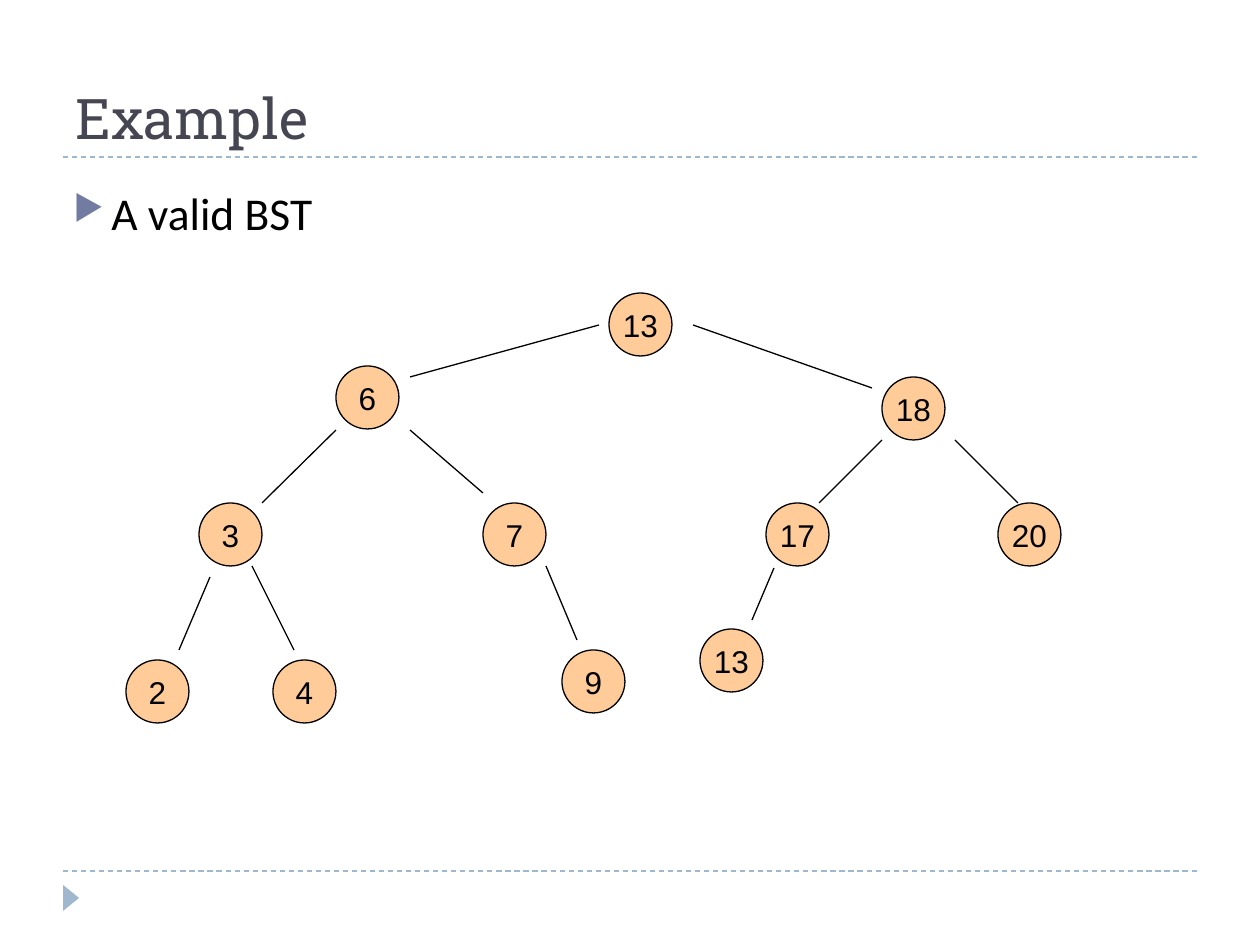
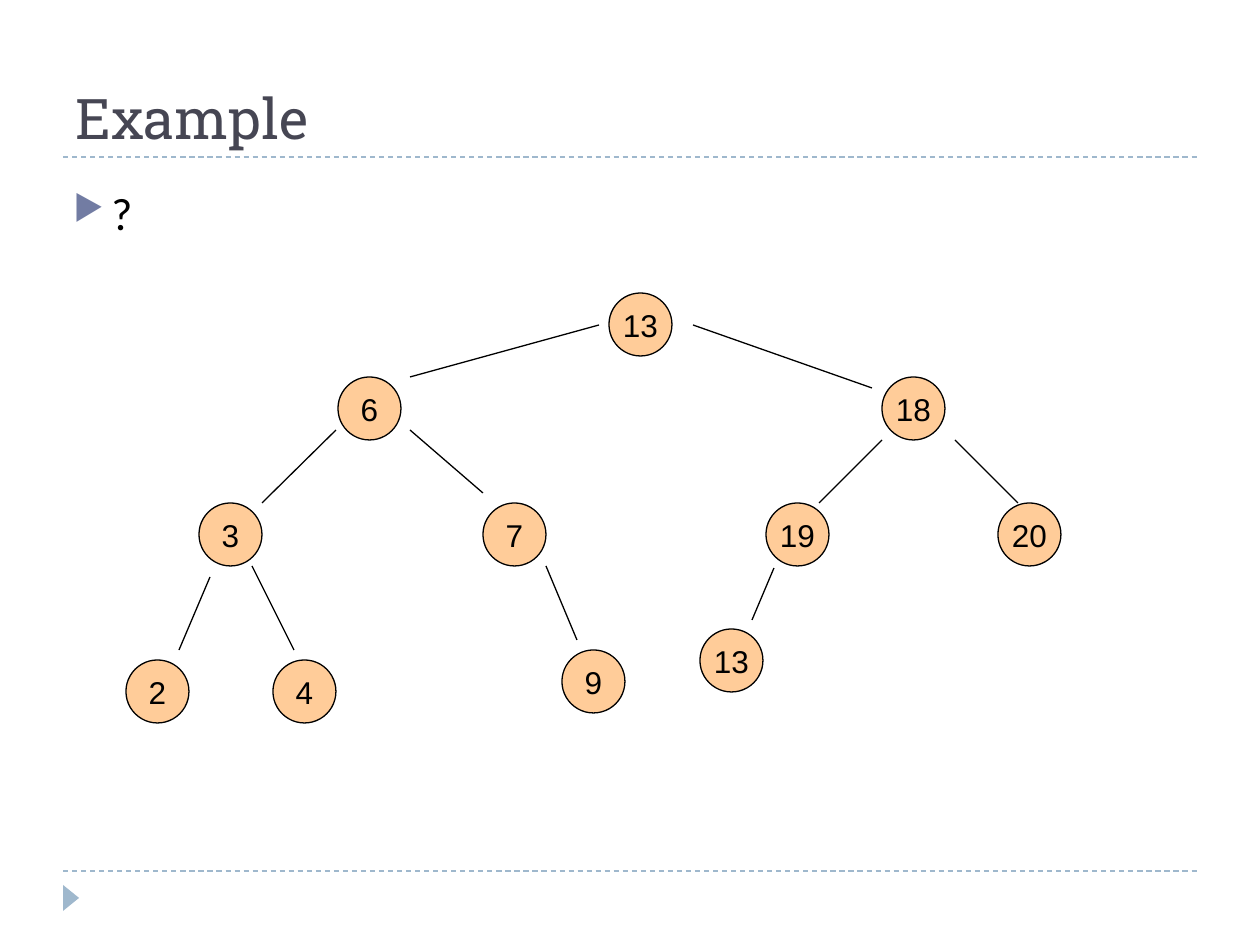
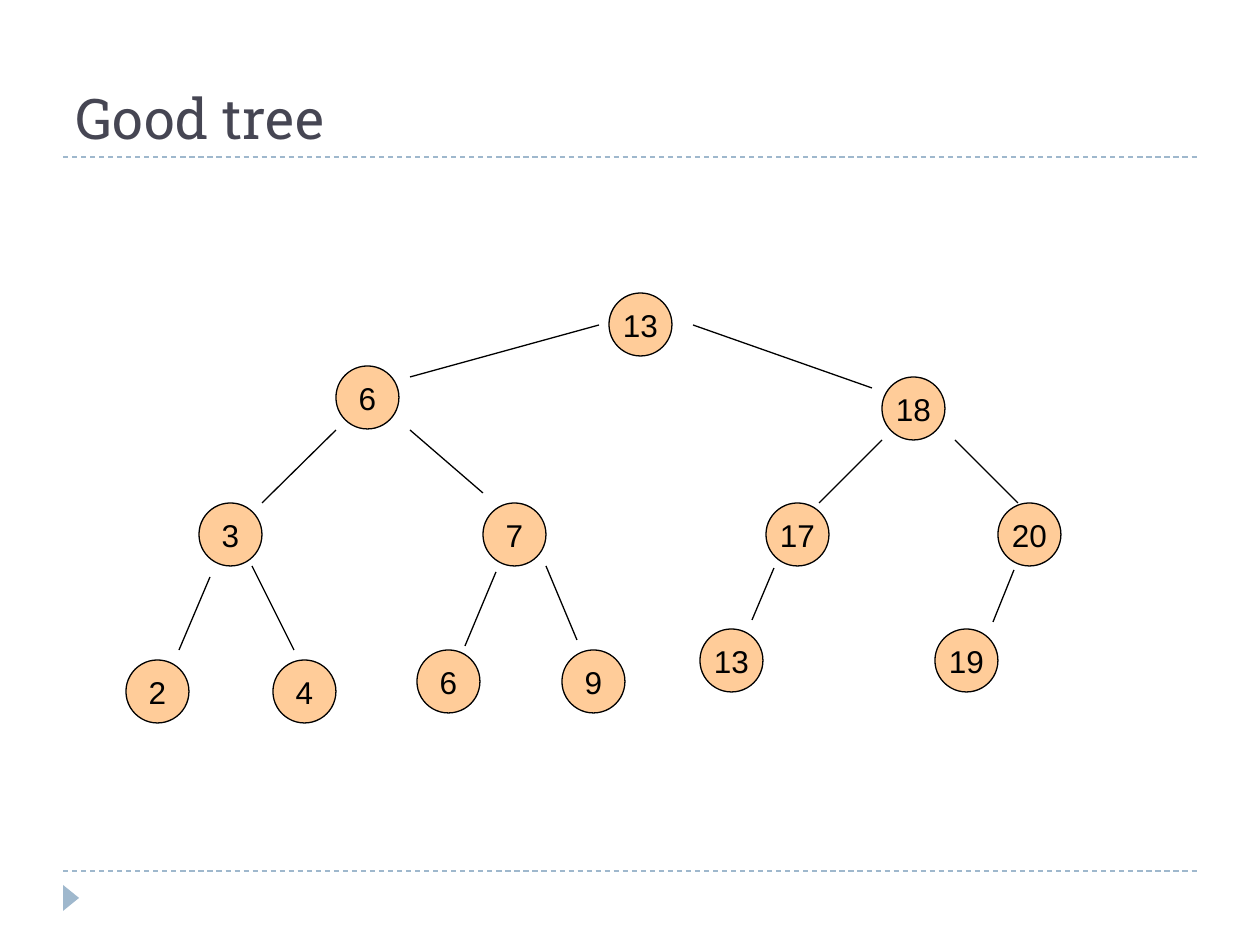
from lxml import etree
from pptx import Presentation
from pptx import util as u
from pptx.dml import color
from pptx.enum import dml, shapes, text
from pptx.oxml import ns

PX = u.Inches(1) / 126
HUE = {"title": "464653", "body": "000000", "rule": "9FB8CD",
       "mark": "727CA3", "node": "FFCC99", "edge": "000000"}
FONT = {
    "title": {"name": "Roboto Slab", "size": u.Pt(32)},
    "body": {"name": "Calibri", "size": u.Pt(26)},
    "node": {"name": "Arial", "size": u.Pt(18)},
}
FRAME = {
    "title": {"word_wrap": True, "vertical_anchor": text.MSO_ANCHOR.BOTTOM},
    "body": {"word_wrap": True, "vertical_anchor": text.MSO_ANCHOR.TOP},
    "node": {"word_wrap": False, "vertical_anchor": text.MSO_ANCHOR.MIDDLE},
}
PARA = {
    "title": {"alignment": text.PP_ALIGN.LEFT},
    "body": {"alignment": text.PP_ALIGN.LEFT, "space_before": u.Pt(6)},
    "node": {"alignment": text.PP_ALIGN.CENTER},
}

SIZE = 63
TREE = (126, 293)
NODES = {
    "root": ("13", 483, 0), "right": ("18", 756, 84), "three": ("3", 73, 210),
    "two": ("2", 0, 367), "left": ("6", 210, 73), "four": ("4", 147, 367),
    "seven": ("7", 357, 210), "low": ("13", 574, 336), "nine": ("9", 436, 357),
    "inner": ("17", 640, 210), "outer": ("20", 872, 210),
}
EDGES = [
    (473, 32, 284, 84), (210, 137, 136, 210), (84, 284, 53, 357),
    (126, 273, 168, 357), (284, 137, 357, 200), (420, 273, 451, 347),
    (648, 275, 626, 327), (567, 32, 746, 95), (756, 147, 693, 210),
    (829, 147, 892, 210),
]
SWAP = {"left": ("6", 212, 84), "inner": ("19", 640, 210)}
MORE = {"six": ("6", 291, 357), "last": ("19", 809, 336)}
LINKS = [(370, 279, 339, 353), (888, 277, 867, 329)]
SLIDES = [
    ("Example", "A valid BST", NODES, EDGES),
    ("Example", "?", NODES | SWAP, EDGES),
    ("Good tree", None, NODES | MORE, EDGES + LINKS),
]


def emu(*vals):
    """Turn px lengths into EMU."""
    return [round(val * PX) for val in vals]


def rgb(key):
    """Look up a colour by its role."""
    return color.RGBColor.from_string(HUE[key])


def apply(item, vals):
    """Set each attribute of a format dict."""
    for name, val in vals.items():
        setattr(item, name, val)


def write(shape, words, style, hue):
    """Fill a shape with one styled paragraph and return it."""
    frame = shape.text_frame
    apply(frame, FRAME[style])
    para = frame.paragraphs[0]
    apply(para, PARA[style])
    run = para.add_run()
    run.text = words
    apply(run.font, FONT[style])
    run.font.color.rgb = rgb(hue)
    return para


def line(slide, ends, hue, dash=None):
    """Draw a thin straight line between two points."""
    link = slide.shapes.add_connector(shapes.MSO_CONNECTOR.STRAIGHT, *emu(*ends))
    apply(link.line, {"width": u.Pt(0.75), "dash_style": dash})
    link.line.color.rgb = rgb(hue)
    etree.SubElement(link._element.spPr, ns.qn("a:effectLst"))


def solid(slide, kind, box, hue):
    """Add a flat filled shape without an outline."""
    shape = slide.shapes.add_shape(kind, *emu(*box))
    shape.shadow.inherit = False
    shape.fill.solid()
    shape.fill.fore_color.rgb = rgb(hue)
    shape.line.fill.background()
    return shape


def base(slide, box):
    """Draw the two dashed rules and the footer marker."""
    left, top, wide, high = box
    for y in (top, top + high):
        line(slide, (left, y, left + wide, y), "rule", dml.MSO_LINE.DASH)
    mark = solid(slide, shapes.MSO_SHAPE.ISOSCELES_TRIANGLE,
                 (left - 5, top + high + 19, 26, 16), "rule")
    mark.rotation = 90


def head(slide, box, words):
    """Write the slide title."""
    write(slide.shapes.add_textbox(*emu(*box)), words, "title", "title")


def point(slide, box, words):
    """Write one bulleted line."""
    para = write(slide.shapes.add_textbox(*emu(*box)), words, "body", "body")
    props = para._p.get_or_add_pPr()
    dent, = emu(38)
    props.set("marL", str(dent))
    props.set("indent", str(-dent))
    tint = etree.SubElement(props, ns.qn("a:buClr"))
    etree.SubElement(tint, ns.qn("a:srgbClr"), val=HUE["mark"])
    etree.SubElement(props, ns.qn("a:buSzPct"), val="76000")
    etree.SubElement(props, ns.qn("a:buChar"), char="▶")


def tree(slide, spot, nodes, edges):
    """Draw the nodes and edges relative to the top left corner."""
    left, top = spot
    for label, x, y in nodes.values():
        ball = solid(slide, shapes.MSO_SHAPE.OVAL,
                     (left + x, top + y, SIZE, SIZE), "node")
        ball.line.width = u.Pt(0.75)
        ball.line.color.rgb = rgb("edge")
        write(ball, label, "node", "body")
    for x, y, far, low in edges:
        line(slide, (left + x, top + y, left + far, top + low), "edge")


def main():
    """Build and save the slides."""
    deck = Presentation()
    deck.slide_width, deck.slide_height = emu(1260, 945)
    for title, words, nodes, edges in SLIDES:
        slide = deck.slides.add_slide(deck.slide_layouts[6])
        base(slide, (63, 157, 1134, 714))
        head(slide, (63, 21, 1134, 136), title)
        if words:
            point(slide, (61, 179, 1134, 146), words)
        tree(slide, TREE, nodes, edges)
    deck.save("out.pptx")


if __name__ == "__main__":
    main()
